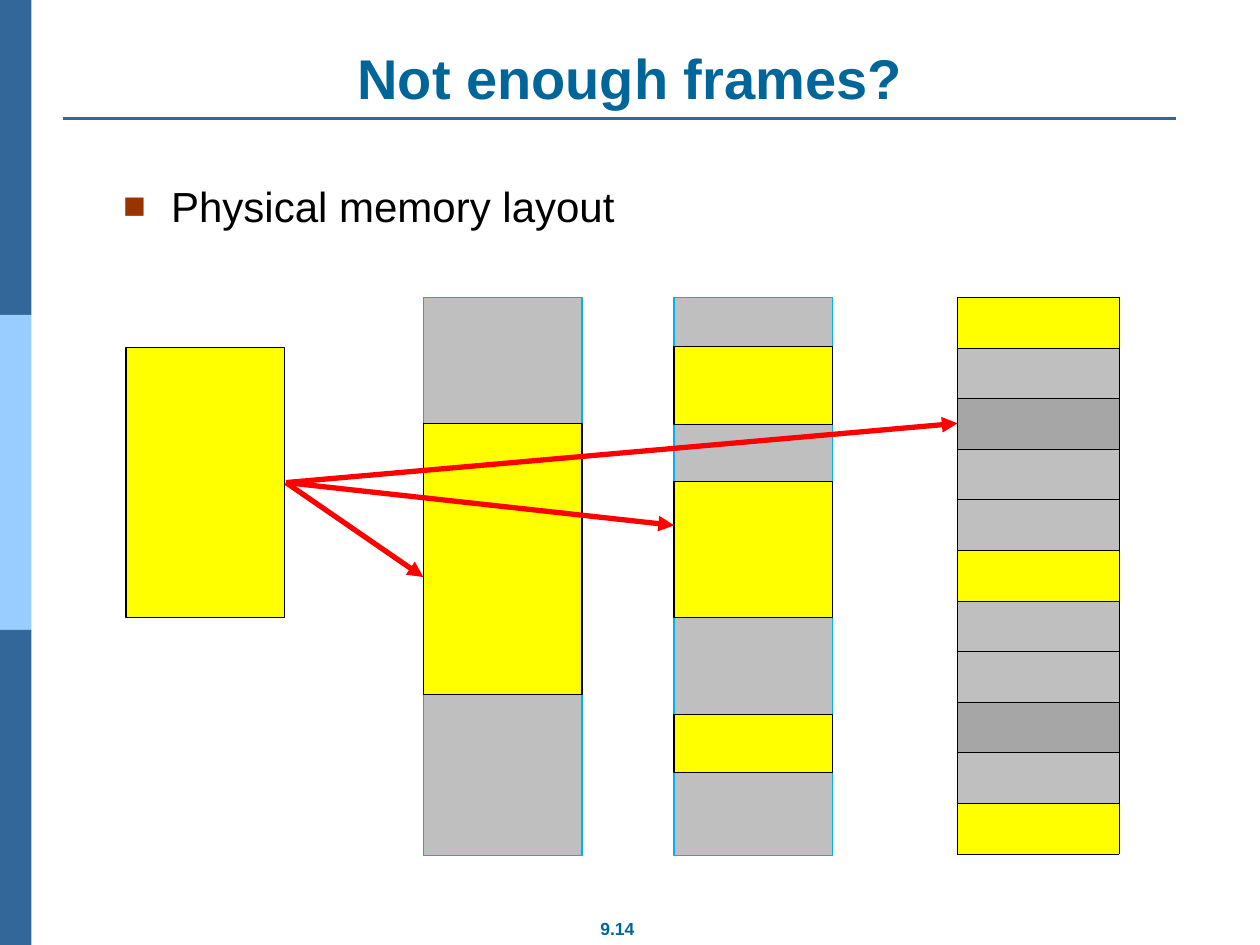
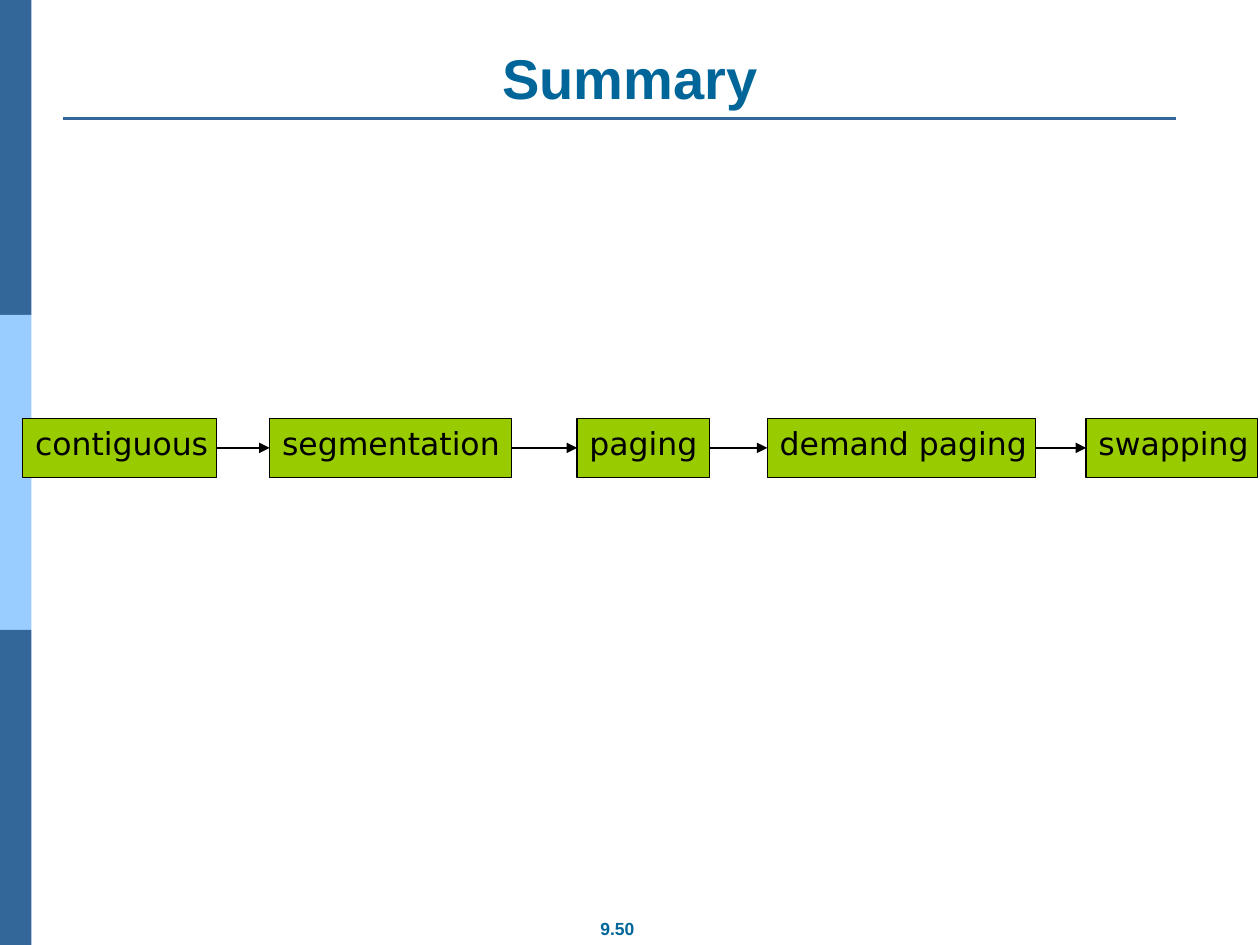
"""Builds two slides on memory allocation: frame layouts and a summary chain."""
from dataclasses import dataclass

from lxml.etree import SubElement
from pptx import Presentation
from pptx.dml.color import RGBColor
from pptx.enum.shapes import MSO_CONNECTOR, MSO_SHAPE
from pptx.enum.text import MSO_ANCHOR, PP_ALIGN
from pptx.oxml import parse_xml
from pptx.oxml.ns import nsdecls, qn
from pptx.util import Inches, Pt


@dataclass(frozen=True)
class Theme:
    """Colours, fonts and sizes of the deck."""
    bar: str = "336699"
    bar_light: str = "99CCFF"
    heading: str = "006699"
    ink: str = "000000"
    bullet: str = "993300"
    memory: str = "BFBFBF"
    memory_dark: str = "A6A6A6"
    memory_edge: str = "00B0F0"
    process: str = "FFFF00"
    arrow: str = "FF0000"
    step: str = "99CC00"
    font: str = "Arial"
    step_font: str = "DejaVu Sans"
    title_size: int = 32
    body_size: int = 24
    step_size: int = 18
    number_size: int = 10
    thin: float = 0.75


THEME = Theme()

FRAMES = {"title": "Not enough frames?", "number": "9.14", "bullet": "Physical memory layout"}
SUMMARY = {"title": "Summary", "number": "9.50"}

BLOCK_WIDTH = 1.26
MEMORY_TOP, MEMORY_HEIGHT = 2.36, 4.43
PROCESS_BLOCK = (1, 2.76, 2.14)
MEMORY_COLUMNS = [
    (3.36, [(3.36, 2.15)]),
    (5.35, [(2.75, 0.62), (3.82, 1.08), (5.67, 0.46)]),
]
PAGE_LEFT, PAGE_WIDTH, PAGES_HEIGHT = 7.6, 1.28, 4.42
PAGES = "PMDMMPMMDMP"
PAGE_FILLS = {"P": THEME.process, "M": THEME.memory, "D": THEME.memory_dark}
ARROW_START = (2.27, 3.83)
ARROW_ENDS = [(3.36, 4.58), (5.35, 4.17), (PAGE_LEFT, 3.36)]

STEP_TOP, STEP_HEIGHT = 3.32, 0.47
STEPS = [
    ("contiguous", 0.18, 1.54),
    ("segmentation", 2.14, 1.92),
    ("paging", 4.58, 1.05),
    ("demand paging", 6.09, 2.13),
    ("swapping", 8.62, 1.36),
]


def colour(value):
    """Turn a hex string into a colour."""
    return RGBColor.from_string(value)


def write(paragraph, text, size, ink, font=THEME.font, bold=False):
    """Add one formatted run."""
    run = paragraph.add_run()
    run.text = text
    run.font.name = font
    run.font.size = Pt(size)
    run.font.bold = bold
    run.font.color.rgb = colour(ink)


def add_box(slide, left, top, width, height, fill, edge=None):
    """Add a flat rectangle with an optional outline."""
    shape = slide.shapes.add_shape(
        MSO_SHAPE.RECTANGLE, Inches(left), Inches(top), Inches(width), Inches(height))
    shape.shadow.inherit = False
    shape.fill.solid()
    shape.fill.fore_color.rgb = colour(fill)
    if edge:
        shape.line.color.rgb = colour(edge)
        shape.line.width = Pt(THEME.thin)
    else:
        shape.line.fill.background()
    return shape


def add_line(slide, start, end, ink, width, arrow=True):
    """Add a straight line, with an arrowhead at its end unless told otherwise."""
    connector = slide.shapes.add_connector(
        MSO_CONNECTOR.STRAIGHT, *(Inches(value) for value in (*start, *end)))
    connector.line.color.rgb = colour(ink)
    connector.line.width = Pt(width)
    if arrow:
        SubElement(connector.line._get_or_add_ln(), qn("a:tailEnd"), type="triangle")
    SubElement(connector._element.spPr, qn("a:effectLst"))


def add_text_box(slide, left, top, width, height, wrap):
    """Add a text box and return its first paragraph."""
    box = slide.shapes.add_textbox(Inches(left), Inches(top), Inches(width), Inches(height))
    box.text_frame.word_wrap = wrap
    return box.text_frame.paragraphs[0]


def add_slide(presentation, content):
    """Add a slide with side bars, title, rule and page number."""
    slide = presentation.slides.add_slide(presentation.slide_layouts[5])
    for row, fill in enumerate((THEME.bar, THEME.bar_light, THEME.bar)):
        add_box(slide, 0, 2.5 * row, 0.25, 2.5, fill)
    add_line(slide, (0.5, 0.94), (9.33, 0.94), THEME.bar, 1.5, arrow=False)

    title = slide.shapes.title
    title.left, title.top, title.width, title.height = (
        Inches(value) for value in (0.5, 0.3, 9, 0.63))
    title.text_frame.vertical_anchor = MSO_ANCHOR.BOTTOM
    paragraph = title.text_frame.paragraphs[0]
    paragraph.alignment = PP_ALIGN.CENTER
    write(paragraph, content["title"], THEME.title_size, THEME.heading, bold=True)

    paragraph = add_text_box(slide, 4.41, 7.24, 0.98, 0.27, wrap=False)
    paragraph.alignment = PP_ALIGN.CENTER
    write(paragraph, content["number"], THEME.number_size, THEME.heading, bold=True)
    return slide


def add_bullet(slide, text):
    """Add the square-bulleted line above the layouts."""
    paragraph = add_text_box(slide, 0.88, 1.38, 7.77, 0.54, wrap=True)
    properties = paragraph._p.get_or_add_pPr()
    properties.set("marL", str(Inches(0.38)))
    properties.set("indent", str(-Inches(0.38)))
    SubElement(SubElement(properties, qn("a:buClr")), qn("a:srgbClr"), val=THEME.bullet)
    SubElement(properties, qn("a:buSzPct"), val="90000")
    SubElement(properties, qn("a:buFont"), typeface=THEME.font)
    SubElement(properties, qn("a:buChar"), char="■")
    write(paragraph, text, THEME.body_size, THEME.ink)


def set_borders(cell):
    """Draw a hairline on all four sides of a cell."""
    properties = cell._tc.get_or_add_tcPr()
    for position, side in enumerate("LRTB"):
        properties.insert(position, parse_xml(
            f'<a:ln{side} {nsdecls("a")} w="{Pt(0.45)}"><a:solidFill>'
            f'<a:srgbClr val="{THEME.ink}"/></a:solidFill></a:ln{side}>'))


def add_pages(slide):
    """Add the paged memory as a one-column table."""
    table = slide.shapes.add_table(
        len(PAGES), 1, Inches(PAGE_LEFT), Inches(MEMORY_TOP),
        Inches(PAGE_WIDTH), Inches(PAGES_HEIGHT)).table
    table.first_row = table.horz_banding = False
    for row, page in enumerate(PAGES):
        cell = table.cell(row, 0)
        cell.fill.solid()
        cell.fill.fore_color.rgb = colour(PAGE_FILLS[page])
        cell.text_frame.paragraphs[0].font.size = Pt(THEME.number_size)
        set_borders(cell)


def build_frames(presentation):
    """Build the physical memory layout slide."""
    slide = add_slide(presentation, FRAMES)
    add_bullet(slide, FRAMES["bullet"])
    left, top, height = PROCESS_BLOCK
    add_box(slide, left, top, BLOCK_WIDTH, height, THEME.process, THEME.ink)
    for left, blocks in MEMORY_COLUMNS:
        add_box(slide, left, MEMORY_TOP, BLOCK_WIDTH, MEMORY_HEIGHT,
                THEME.memory, THEME.memory_edge)
        for top, height in blocks:
            add_box(slide, left, top, BLOCK_WIDTH, height, THEME.process, THEME.ink)
    add_pages(slide)
    for end in ARROW_ENDS:
        add_line(slide, ARROW_START, end, THEME.arrow, 3)


def build_summary(presentation):
    """Build the chain of allocation schemes."""
    slide = add_slide(presentation, SUMMARY)
    for text, left, width in STEPS:
        box = add_box(slide, left, STEP_TOP, width, STEP_HEIGHT, THEME.step, THEME.ink)
        box.text_frame.word_wrap = False
        box.text_frame.vertical_anchor = MSO_ANCHOR.TOP
        paragraph = box.text_frame.paragraphs[0]
        paragraph.alignment = PP_ALIGN.LEFT
        write(paragraph, text, THEME.step_size, THEME.ink, THEME.step_font)
    middle = STEP_TOP + STEP_HEIGHT / 2
    for (_, left, width), (_, next_left, _) in zip(STEPS, STEPS[1:]):
        add_line(slide, (left + width, middle), (next_left, middle), THEME.ink, THEME.thin)


def main():
    """Build and save the deck."""
    presentation = Presentation()
    presentation.slide_width, presentation.slide_height = Inches(10), Inches(7.5)
    build_frames(presentation)
    build_summary(presentation)
    presentation.save("out.pptx")


if __name__ == "__main__":
    main()
